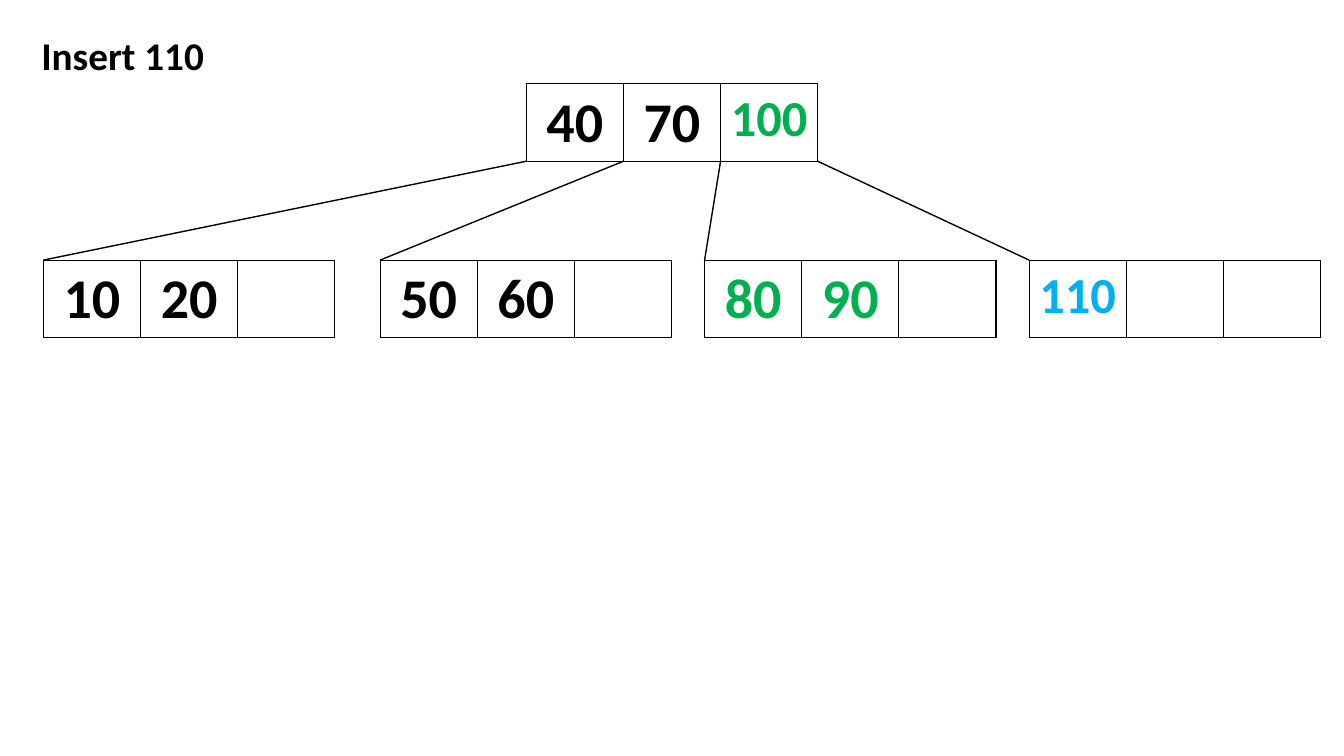
import pptx
import pptx.dml.color
import pptx.enum.shapes
import pptx.enum.text
import pptx.oxml
import pptx.oxml.ns
import pptx.util

Pt = pptx.util.Pt
HUES = {"black": "000000", "white": "FFFFFF", "green": "00B050", "blue": "00B0F0"}
CELL_W, CELL_H = 69.4, 55.4
ROOT_X, ROOT_Y, LEAF_Y = 375.9, 59.8, 185.8
ROOT = [("40", {}), ("70", {}), ("100", {"size": 36, "hue": "green"})]
LEAVES = [
    (31, [("10", {}), ("20", {}), None]),
    (271.5, [("50", {}), ("60", {}), None]),
    (503.3, [("80", {"hue": "green"}), ("90", {"hue": "green"}), None]),
    (735.1, [("110", {"size": 36, "hue": "blue"}), None, None]),
]


def color(hue):
    return pptx.dml.color.RGBColor.from_string(HUES[hue])


def write(frame, text, size=40, hue="black", align="CENTER", font="Calibri"):
    line = frame.paragraphs[0]
    line.alignment = getattr(pptx.enum.text.PP_ALIGN, align)
    run = line.add_run()
    run.text = text
    run.font.name = font
    run.font.size = Pt(size)
    run.font.bold = True
    run.font.color.rgb = color(hue)


class Tree:
    """Holds the line style and the slide being drawn."""

    def __init__(self, slide, hue="black", width=1):
        self.slide, self.hue, self.width = slide, hue, width

    def title(self, text, x, y, w, h):
        box = self.slide.shapes.title
        box.left, box.top, box.width, box.height = Pt(x), Pt(y), Pt(w), Pt(h)
        frame = box.text_frame
        frame.word_wrap = False
        frame.auto_size = pptx.enum.text.MSO_AUTO_SIZE.SHAPE_TO_FIT_TEXT
        frame.vertical_anchor = pptx.enum.text.MSO_ANCHOR.TOP
        write(frame, text, size=28, align="LEFT")

    def border(self, cell):
        props = cell._tc.get_or_add_tcPr()
        for spot, side in enumerate("LRTB"):
            props.insert(spot, pptx.oxml.parse_xml(
                f'<a:ln{side} {pptx.oxml.ns.nsdecls("a")} w="{Pt(self.width)}">'
                f'<a:solidFill><a:srgbClr val="{HUES[self.hue]}"/></a:solidFill>'
                f'</a:ln{side}>'))

    def node(self, x, y, keys):
        grid = self.slide.shapes.add_table(
            1, len(keys), Pt(x), Pt(y), Pt(CELL_W * len(keys)), Pt(CELL_H)).table
        grid.first_row = grid.horz_banding = False
        for col, key in enumerate(keys):
            grid.columns[col].width = Pt(CELL_W)
            cell = grid.cell(0, col)
            cell.fill.solid()
            cell.fill.fore_color.rgb = color("white")
            self.border(cell)
            if key:
                text, style = key
                write(cell.text_frame, text, **style)

    def edge(self, x1, y1, x2, y2):
        line = self.slide.shapes.add_connector(
            pptx.enum.shapes.MSO_CONNECTOR.STRAIGHT, Pt(x1), Pt(y1), Pt(x2), Pt(y2))
        line.line.color.rgb = color(self.hue)
        line.line.width = Pt(self.width)
        line._element.spPr.append(pptx.oxml.parse_xml(
            f'<a:effectLst {pptx.oxml.ns.nsdecls("a")}/>'))


def main():
    deck = pptx.Presentation()
    deck.slide_width, deck.slide_height = Pt(960), Pt(540)
    tree = Tree(deck.slides.add_slide(deck.slide_layouts[5]))

    # Heading
    tree.title("Insert 110", 22.3, 18.7, 132.5, 41)

    # Root, and leaves each hung from a cell edge
    tree.node(ROOT_X, ROOT_Y, ROOT)
    for rank, (x, keys) in enumerate(LEAVES):
        tree.node(x, LEAF_Y, keys)
        tree.edge(ROOT_X + rank * CELL_W, ROOT_Y + CELL_H, x, LEAF_Y)

    deck.save("out.pptx")


if __name__ == "__main__":
    main()
